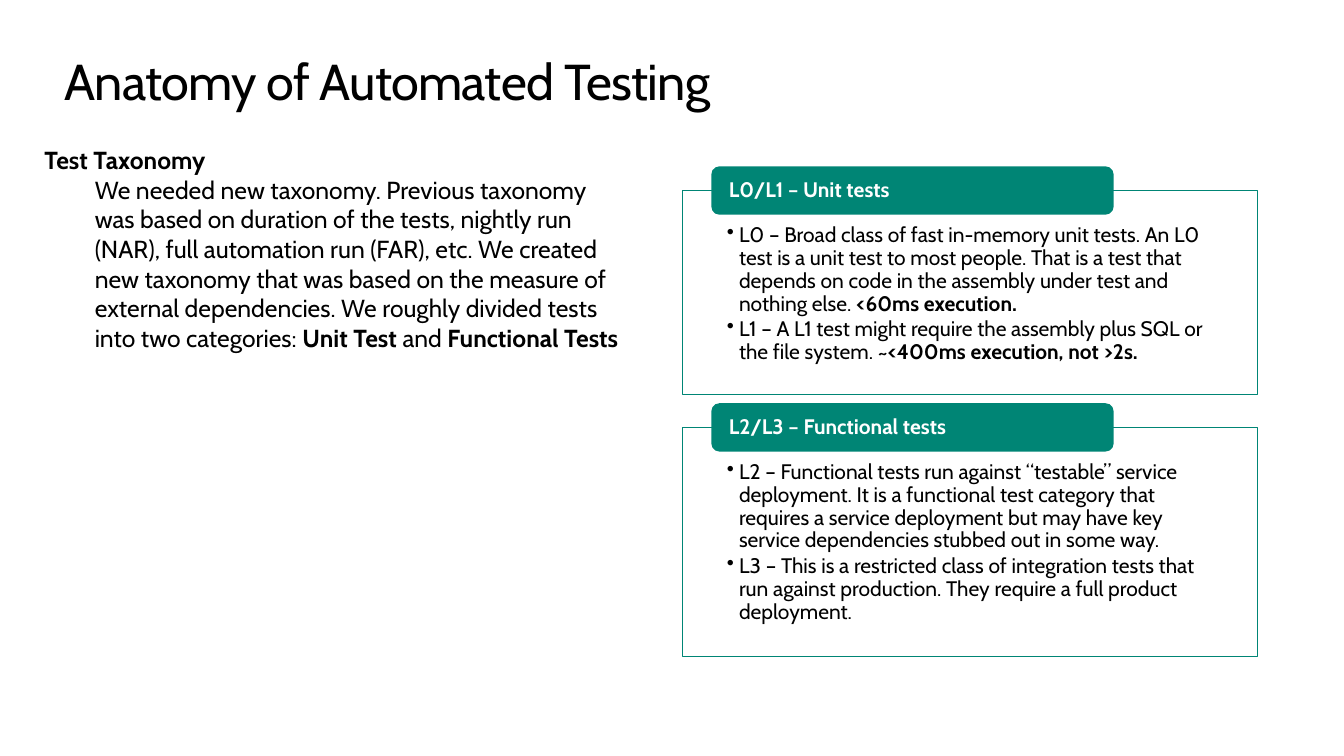
from lxml.etree import SubElement
from pptx import Presentation
from pptx.dml.color import RGBColor
from pptx.enum.shapes import MSO_SHAPE
from pptx.enum.text import MSO_ANCHOR, MSO_AUTO_SIZE, PP_ALIGN
from pptx.oxml.ns import qn
from pptx.util import Inches, Pt

COLORS = {"text": "000000", "white": "FFFFFF", "teal": "008575"}
FONT = "Cabin"
PANEL_LEFT, PANEL_WIDTH = 6.77, 5.7
TAB_LEFT = PANEL_LEFT + 0.05 * PANEL_WIDTH
TAB_WIDTH, TAB_HEIGHT = 0.7 * PANEL_WIDTH, 0.48

PANELS = [
    ("L0/L1 – Unit tests", 1.89, 2.02, [
        [("L0 – Broad class of fast in-memory unit tests. An L0 test is a unit test "
          "to most people. That is a test that depends on code in the assembly "
          "under test and nothing else. ", False),
         ("<60ms execution.", True)],
        [("L1 – A L1 test might require the assembly plus SQL or the file system. ", False),
         ("~<400ms execution, not >2s.", True)],
    ]),
    ("L2/L3 – Functional tests", 4.24, 2.27, [
        [("L2 – Functional tests run against “testable” service deployment. It is a "
          "functional test category that requires a service deployment but may have "
          "key service dependencies stubbed out in some way.", False)],
        [("L3 – This is a restricted class of integration tests that run against "
          "production. They require a full product deployment.", False)],
    ]),
]
TAXONOMY = [
    (0, [("Test Taxonomy", True)]),
    (1, [("We needed new taxonomy. Previous taxonomy was based on duration of the "
          "tests, nightly run (NAR), full automation run (FAR), etc. We created new "
          "taxonomy that was based on the measure of external dependencies. We "
          "roughly divided tests into two categories: ", False),
         ("Unit Test ", True), ("and ", False), ("Functional Tests", True)]),
]


def write_paragraph(paragraph, pieces, size, color="text", left=0, first=0, bullet=None):
    properties = paragraph._p.get_or_add_pPr()
    properties.set("marL", str(Inches(left)))
    properties.set("indent", str(Inches(first)))
    if bullet:
        SubElement(properties, qn("a:buChar")).set("char", bullet)
    else:
        SubElement(properties, qn("a:buNone"))
    paragraph.alignment = PP_ALIGN.LEFT
    paragraph.space_before = Pt(0)
    for text, bold in pieces:
        run = paragraph.add_run()
        run.text = text
        run.font.name = FONT
        run.font.size = Pt(size)
        run.font.bold = bold
        run.font.color.rgb = RGBColor.from_string(COLORS[color])


def prepare_frame(shape, anchor, side=0, top=0, bottom=0):
    frame = shape.text_frame
    frame.word_wrap = True
    frame.auto_size = MSO_AUTO_SIZE.NONE
    frame.vertical_anchor = anchor
    frame.margin_left = frame.margin_right = Inches(side)
    frame.margin_top, frame.margin_bottom = Inches(top), Inches(bottom)
    return frame


presentation = Presentation()
presentation.slide_width = Inches(13.33)
presentation.slide_height = Inches(7.5)
slide = presentation.slides.add_slide(presentation.slide_layouts[1])

title = slide.shapes.title
title.left, title.top, title.width, title.height = map(Inches, (0.64, 0.5, 12.05, 0.61))
title_paragraph = prepare_frame(title, MSO_ANCHOR.TOP).paragraphs[0]
write_paragraph(title_paragraph, [("Anatomy of Automated Testing", False)], 36)
title_paragraph.runs[0].font._element.set("spc", "-50")

body = slide.placeholders[1]
body.left, body.top, body.width, body.height = map(Inches, (0.44, 1.44, 5.71, 5.29))
body_frame = prepare_frame(body, MSO_ANCHOR.TOP)
for index, (level, pieces) in enumerate(TAXONOMY):
    paragraph = body_frame.add_paragraph() if index else body_frame.paragraphs[0]
    paragraph.level = level
    write_paragraph(paragraph, pieces, 17.6, left=0.5 * level)

for heading, top, height, items in PANELS:
    group = slide.shapes.add_group_shape()
    panel = group.shapes.add_shape(
        MSO_SHAPE.RECTANGLE, *map(Inches, (PANEL_LEFT, top, PANEL_WIDTH, height)))
    panel.shadow.inherit = False
    panel.fill.solid()
    panel.fill.fore_color.rgb = RGBColor.from_string(COLORS["white"])
    fill_color = panel._element.spPr.find(qn("a:solidFill")).find(qn("a:srgbClr"))
    SubElement(fill_color, qn("a:alpha")).set("val", "90000")
    panel.line.color.rgb = RGBColor.from_string(COLORS["teal"])
    panel.line.width = Pt(0.75)
    panel_frame = prepare_frame(panel, MSO_ANCHOR.TOP, 0.44, 0.34, 0.12)
    for index, pieces in enumerate(items):
        paragraph = panel_frame.add_paragraph() if index else panel_frame.paragraphs[0]
        paragraph.level = 1
        write_paragraph(paragraph, pieces, 15, left=0.12, first=-0.12, bullet="•")
        paragraph.line_spacing = 0.9
        paragraph.space_after = Pt(2.25)

    tab = group.shapes.add_shape(
        MSO_SHAPE.ROUNDED_RECTANGLE,
        *map(Inches, (TAB_LEFT, top - TAB_HEIGHT / 2, TAB_WIDTH, TAB_HEIGHT)))
    tab.shadow.inherit = False
    tab.fill.solid()
    tab.fill.fore_color.rgb = RGBColor.from_string(COLORS["teal"])
    tab.line.fill.background()
    tab_paragraph = prepare_frame(tab, MSO_ANCHOR.MIDDLE, 0.15).paragraphs[0]
    write_paragraph(tab_paragraph, [(heading, True)], 15, "white")
    tab_paragraph.line_spacing = 0.9

presentation.save("out.pptx")
